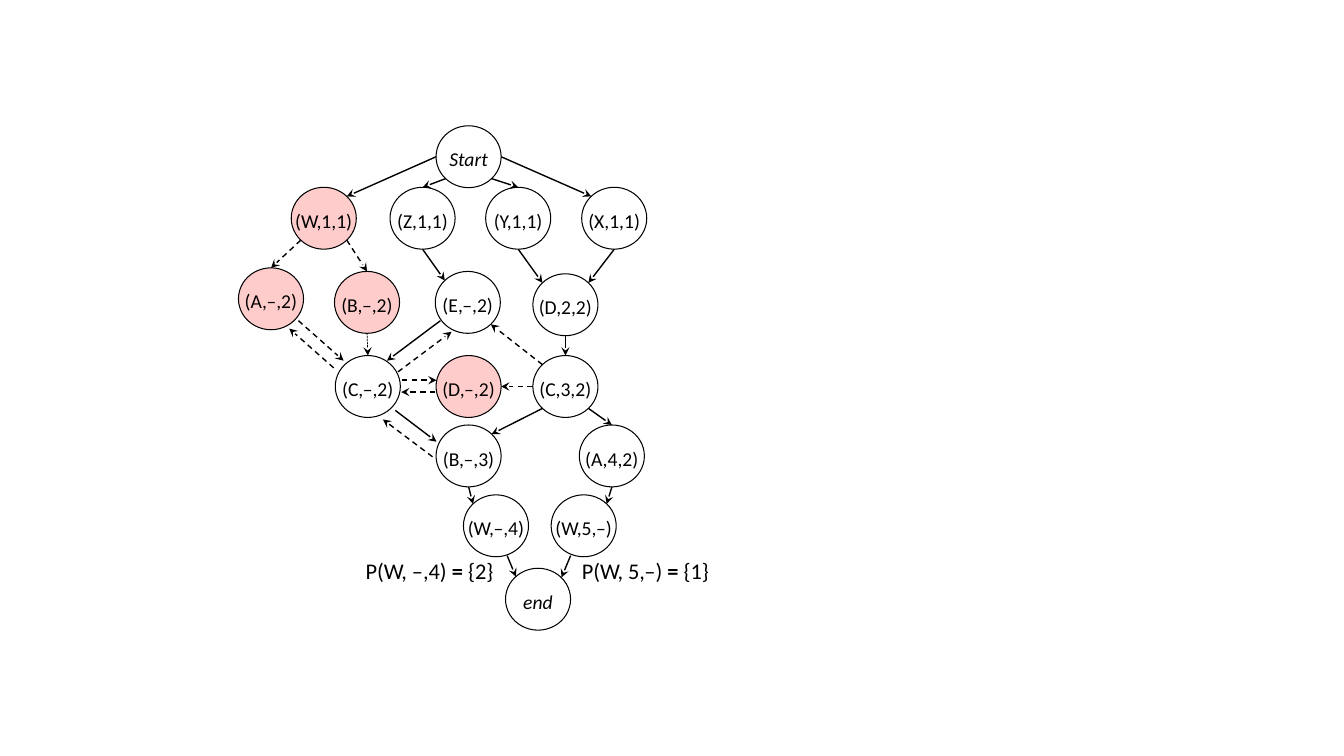
from math import cos, radians, sin

from lxml import etree
from pptx import Presentation
from pptx.dml.color import RGBColor
from pptx.enum.dml import MSO_LINE
from pptx.enum.shapes import MSO_CONNECTOR, MSO_SHAPE
from pptx.enum.text import MSO_ANCHOR, PP_ALIGN
from pptx.oxml.ns import qn
from pptx.util import Cm, Pt

STRAIGHT = MSO_CONNECTOR.STRAIGHT
OVAL = MSO_SHAPE.OVAL
MIDDLE = MSO_ANCHOR.MIDDLE
CENTER = PP_ALIGN.CENTER
DASH = MSO_LINE.DASH
SHORT_DASH = MSO_LINE.SQUARE_DOT

BLACK = RGBColor(0x00, 0x00, 0x00)
WHITE = RGBColor(0xFF, 0xFF, 0xFF)
PINK = RGBColor(0xFF, 0xCC, 0xCC)
FONT = "Calibri"

NODE_WIDTH, NODE_HEIGHT = 1.64, 1.56

# Label: centre in cm within the graph box, fill
NODES = {
    "Start": (5.81, 0.95, WHITE),
    "(W,1,1)": (2.16, 2.5, PINK),
    "(Z,1,1)": (4.65, 2.5, WHITE),
    "(Y,1,1)": (7.06, 2.5, WHITE),
    "(X,1,1)": (9.48, 2.5, WHITE),
    "(A,–,2)": (0.83, 4.53, PINK),
    "(B,–,2)": (3.25, 4.62, PINK),
    "(E,–,2)": (5.79, 4.62, WHITE),
    "(D,2,2)": (8.25, 4.68, WHITE),
    "(C,–,2)": (3.27, 6.74, WHITE),
    "(D,–,2)": (5.81, 6.74, PINK),
    "(C,3,2)": (8.25, 6.74, WHITE),
    "(B,–,3)": (5.81, 8.49, WHITE),
    "(A,4,2)": (9.42, 8.49, WHITE),
    "(W,–,4)": (6.5, 10.25, WHITE),
    "(W,5,–)": (8.71, 10.25, WHITE),
    "end": (7.56, 12.1, WHITE),
}

# Angles of the points on a node's outline, clockwise from the right
RIGHT, LOWER_RIGHT, BOTTOM, LOWER_LEFT = 0, 45, 90, 135
LEFT, UPPER_LEFT, TOP, UPPER_RIGHT = 180, 225, 270, 315

# Arrows between outline points: from, to, dash, width in points
EDGES = [
    ("Start", LEFT, "(W,1,1)", UPPER_RIGHT, None, 1),
    ("Start", LOWER_LEFT, "(Z,1,1)", TOP, None, 1),
    ("Start", LOWER_RIGHT, "(Y,1,1)", TOP, None, 1),
    ("Start", RIGHT, "(X,1,1)", UPPER_LEFT, None, 1),
    ("(W,1,1)", LOWER_LEFT, "(A,–,2)", TOP, DASH, 1),
    ("(W,1,1)", LOWER_RIGHT, "(B,–,2)", TOP, DASH, 1),
    ("(B,–,2)", BOTTOM, "(C,–,2)", TOP, SHORT_DASH, 0.5),
    ("(Z,1,1)", BOTTOM, "(E,–,2)", UPPER_LEFT, None, 1),
    ("(Y,1,1)", BOTTOM, "(D,2,2)", UPPER_LEFT, None, 1),
    ("(X,1,1)", BOTTOM, "(D,2,2)", UPPER_RIGHT, None, 1),
    ("(D,2,2)", BOTTOM, "(C,3,2)", TOP, None, 1),
    ("(C,3,2)", LEFT, "(D,–,2)", RIGHT, DASH, 1),
    ("(C,3,2)", UPPER_LEFT, "(E,–,2)", LOWER_RIGHT, DASH, 1),
    ("(C,3,2)", LOWER_LEFT, "(B,–,3)", UPPER_RIGHT, None, 1),
    ("(C,3,2)", LOWER_RIGHT, "(A,4,2)", TOP, None, 1),
    ("(A,4,2)", BOTTOM, "(W,5,–)", UPPER_RIGHT, None, 1),
    ("(B,–,3)", BOTTOM, "(W,–,4)", UPPER_LEFT, None, 1),
]

# Arrows set beside the outline points: start, end, dash
SIDE_EDGES = [
    ((1.52, 5.08), (2.66, 6.09), DASH),
    ((2.41, 6.27), (1.29, 5.28), DASH),
    ((5.1, 5.08), (3.75, 6.09), None),
    ((4.03, 6.37), (5.38, 5.36), DASH),
    ((4.13, 6.58), (5, 6.58), DASH),
    ((4.97, 6.88), (4.11, 6.88), DASH),
    ((3.96, 7.34), (5, 8.13), None),
    ((4.9, 8.51), (3.65, 7.57), DASH),
    ((6.78, 11), (7, 11.53), None),
    ((8.38, 11), (8.15, 11.55), None),
]

# Captions: left, top, then the texts before, at and after the bold sign
CAPTIONS = [
    (2.94, 10.92, "P(W, –,4) ", "=", " {2}"),
    (8.38, 10.92, "P(W, 5,–) ", "= ", "{1}"),
]


def add_text(paragraph, text, size=14, bold=False, italic=False):
    paragraph.alignment = CENTER
    run = paragraph.add_run()
    run.text = text
    font = run.font
    font.name, font.size = FONT, Pt(size)
    font.bold, font.italic = bold, italic
    font.color.rgb = BLACK


def add_node(slide, label, center_x, center_y, fill):
    shape = slide.shapes.add_shape(
        OVAL, Cm(center_x - NODE_WIDTH / 2), Cm(center_y - NODE_HEIGHT / 2),
        Cm(NODE_WIDTH), Cm(NODE_HEIGHT))
    shape.shadow.inherit = False
    shape.fill.solid()
    shape.fill.fore_color.rgb = fill
    shape.line.color.rgb = BLACK
    shape.line.width = Pt(0.75)
    frame = shape.text_frame
    frame.word_wrap = False
    frame.vertical_anchor = MIDDLE
    frame.margin_left = frame.margin_right = frame.margin_bottom = 0
    frame.margin_top = Cm(0.12)
    add_text(frame.paragraphs[0], label, italic=label in ("Start", "end"))


def add_arrow(slide, start, end, dash=None, width=1):
    connector = slide.shapes.add_connector(
        STRAIGHT, *(Cm(value) for value in (*start, *end)))
    connector.line.color.rgb = BLACK
    connector.line.width = Pt(width)
    if dash is not None:
        connector.line.dash_style = dash
    properties = connector._element.spPr
    line = properties.find(qn("a:ln"))
    etree.SubElement(line, qn("a:tailEnd"), type="stealth")
    etree.SubElement(properties, qn("a:effectLst"))


def outline_point(label, angle):
    center_x, center_y, _ = NODES[label]
    return (center_x + NODE_WIDTH / 2 * cos(radians(angle)),
            center_y + NODE_HEIGHT / 2 * sin(radians(angle)))


def add_caption(slide, left, top, before, sign, after):
    box = slide.shapes.add_textbox(Cm(left), Cm(top), Cm(3.77), Cm(0.94))
    box.text_frame.word_wrap = False
    paragraph = box.text_frame.paragraphs[0]
    for text in (before, sign, after):
        add_text(paragraph, text, size=16, bold=text == sign)


def draw_graph(slide, left, top):
    def place(point):
        return left + point[0], top + point[1]

    # Nodes
    for label, (center_x, center_y, fill) in NODES.items():
        add_node(slide, label, *place((center_x, center_y)), fill)

    # Arrows
    for source, source_angle, target, target_angle, dash, width in EDGES:
        add_arrow(slide, place(outline_point(source, source_angle)),
                  place(outline_point(target, target_angle)), dash, width)
    for start, end, dash in SIDE_EDGES:
        add_arrow(slide, place(start), place(end), dash)

    # Captions beside the end node
    for caption_left, caption_top, *texts in CAPTIONS:
        add_caption(slide, *place((caption_left, caption_top)), *texts)


def main():
    presentation = Presentation()
    presentation.slide_width = Cm(33.87)
    presentation.slide_height = Cm(19.05)
    slide = presentation.slides.add_slide(presentation.slide_layouts[6])
    draw_graph(slide, left=6, top=3)
    presentation.save("out.pptx")


if __name__ == "__main__":
    main()
